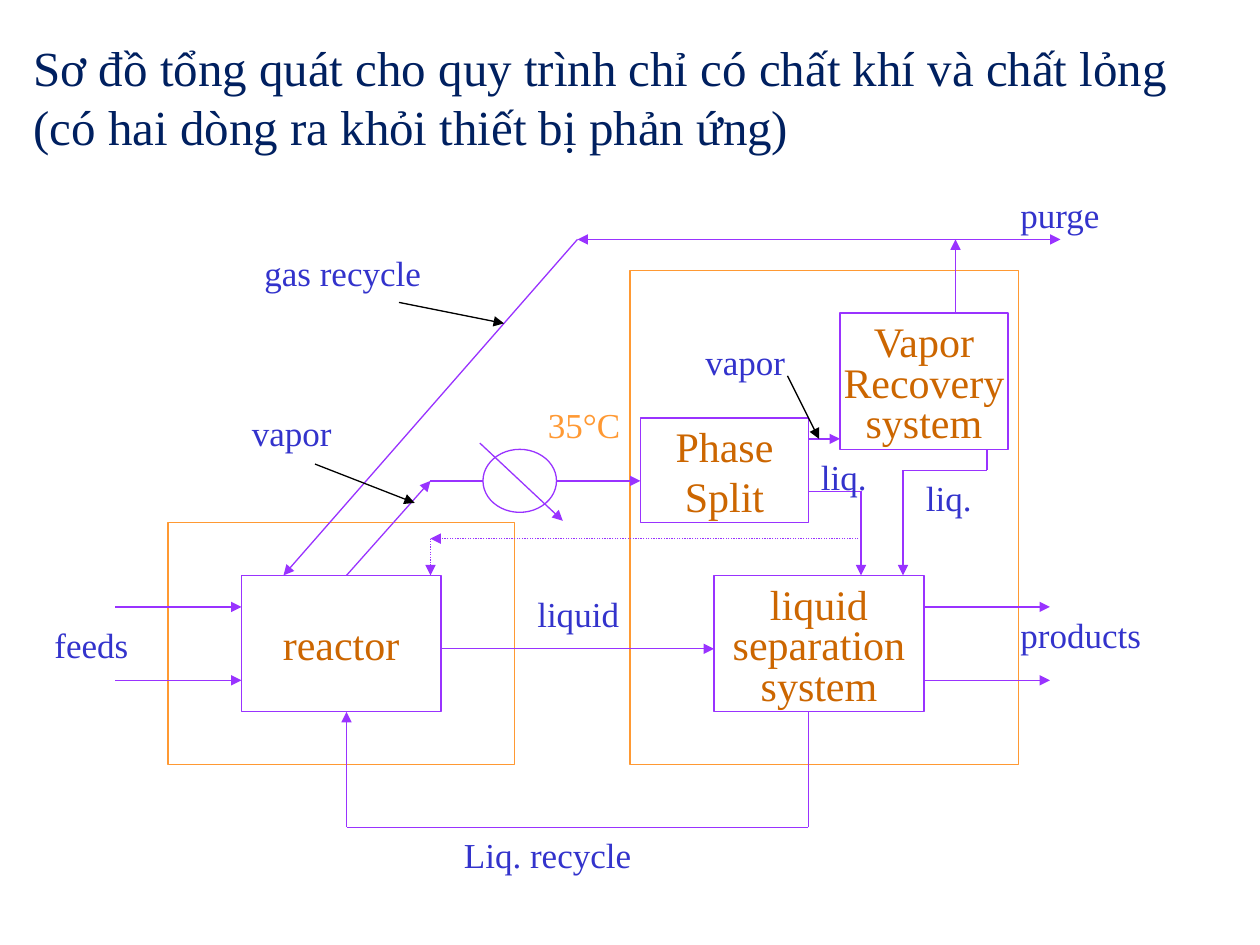
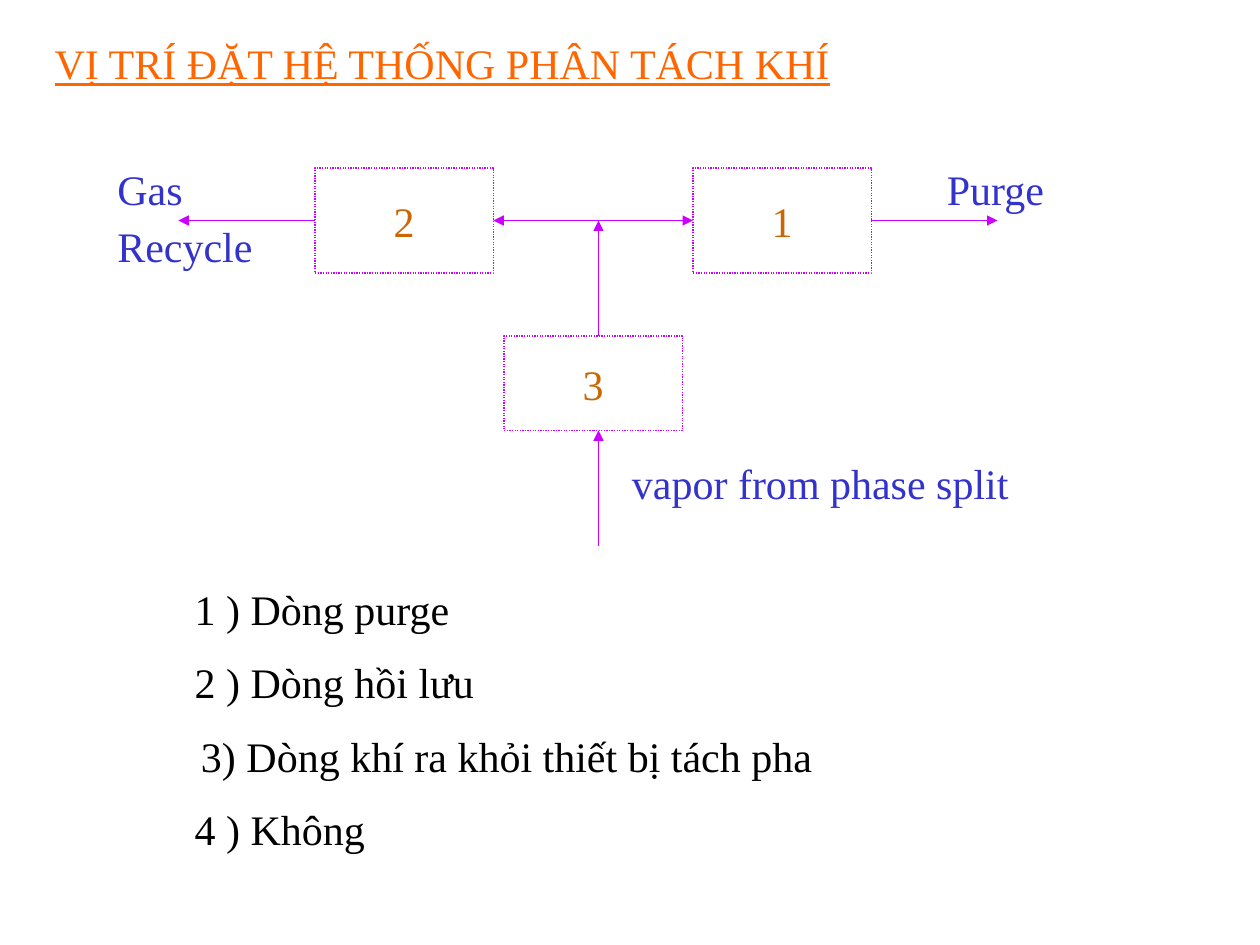
from lxml import etree
from pptx import Presentation
from pptx import util as u
from pptx.dml.color import RGBColor
from pptx.enum import dml, shapes, text
from pptx.oxml.ns import qn

# ---- Shared look ----
COLORS = {
    "paper": "FFFFFF", "navy": "002060", "headline": "FF6600",
    "block": "CC6600", "label": "3333CC", "frame": "FF9933",
    "flow": "9933FF", "gas": "CC00FF", "ink": "000000",
}
FONT = "Times New Roman"
CELL = 1 / 12      # grid cell in inches; every place below counts in cells
LINE_WIDTH = 0.75

# ---- Content: process diagram ----
PROCESS = {
    "title": "Sơ đồ tổng quát cho quy trình chỉ có chất khí và chất lỏng "
             "(có hai dòng ra khỏi thiết bị phản ứng)",
    "title_at": (2, 3, 117, 12.5),
    "title_look": {"size": 28, "color": "navy"},
    "down": 1.8,       # cells the diagram is moved down
    "line": "flow", "dotted": False, "label_size": 20,
    "frames": [(16, 48, 33, 23), (60, 24, 37, 47)],
    # lines of text, place, spacing of the lines after the first
    "blocks": [
        (["reactor"], (23, 53, 19, 13), 1),
        (["liquid", "separation", "system"], (68, 53, 20, 13), 0.8),
        (["Phase", "Split"], (61, 38, 16, 10), 1),
        (["Vapor", "Recovery", "system"], (80, 28, 16, 13), 0.8),
    ],
    "exchangers": [(46, 41, 7, 6)],
    # colour, dotted, corners; "*" after a corner puts an arrowhead there
    "flows": [
        ("flow", False, [(42, 60), (68, 60, "*")]),                  # liquid
        ("flow", False, [(11, 56), (23, 56, "*")]),                  # feeds
        ("flow", False, [(11, 63), (23, 63, "*")]),
        ("flow", False, [(88, 56), (100, 56, "*")]),                 # products
        ("flow", False, [(88, 63), (100, 63, "*")]),
        ("flow", False, [(77, 66), (77, 77), (33, 77), (33, 66, "*")]),
        ("flow", False, [(77, 40), (80, 40, "*")]),                  # vapor
        ("flow", False, [(77, 45), (82, 45), (82, 53, "*")]),        # liq.
        ("flow", False, [(94, 41), (94, 43), (86, 43), (86, 53, "*")]),
        ("flow", False, [(91, 28), (91, 21, "*"), (101, 21, "*")]),  # purge
        ("flow", False, [(91, 21), (55, 21, "*"), (27, 53, "*")]),   # gas recycle
        ("flow", False, [(33, 53), (41, 44, "*"), (46, 44)]),        # to exchanger
        ("flow", False, [(53, 44), (61, 44, "*")]),
        ("flow", False, [(45.7, 40.4), (53.6, 47.8, "*")]),
        ("flow", True, [(82, 49.5), (41, 49.5, "*"), (41, 53, "*")]),
        ("ink", False, [(38, 27), (48, 29, "*")]),                   # pointers
        ("ink", False, [(75, 34), (78, 40, "*")]),
        ("ink", False, [(30, 42.4), (39.5, 46.1, "*")]),
    ],
    # lines of text, left, top, width, colour, spacing of the first line
    "labels": [
        (["Liq. recycle"], 43, 77, 34, "label", 1),
        (["products"], 96, 56, 19, "label", 1),
        (["liquid"], 50, 54, 17, "label", 1),
        (["feeds"], 4, 57, 20, "label", 1),
        (["35°C"], 51, 36, 12, "frame", 1),
        (["gas recycle"], 24, 21.6, 24, "label", 1),
        (["liq."], 77, 41, 8, "label", 1),
        (["liq."], 87, 43, 8, "label", 1),
        (["vapor"], 66, 30, 11, "label", 1),
        (["purge"], 96, 16, 19, "label", 1),
        (["vapor"], 22.8, 38.2, 12.7, "label", 0.6),
    ],
    "answers": [],
}

# ---- Content: where the gas separation goes ----
LOCATION = {
    "title": "VỊ TRÍ ĐẶT HỆ THỐNG PHÂN TÁCH KHÍ",
    "title_at": (4, 3, 111, 6),
    "title_look": {"size": 24, "color": "headline", "underline": True},
    "down": 0,
    "line": "gas", "dotted": True, "label_size": 24,
    "frames": [],
    "blocks": [
        (["2"], (30, 16, 17, 10), 1),
        (["1"], (66, 16, 17, 10), 1),
        (["3"], (48, 32, 17, 9), 1),
    ],
    "exchangers": [],
    "flows": [
        ("gas", False, [(57, 52), (57, 41, "*")]),
        ("gas", False, [(57, 32), (57, 21, "*")]),
        ("gas", False, [(57, 21), (66, 21, "*")]),
        ("gas", False, [(57, 21), (47, 21, "*")]),
        ("gas", False, [(83, 21), (95, 21, "*")]),
        ("gas", False, [(30, 21), (17, 21, "*")]),
    ],
    "labels": [
        (["Gas", "Recycle"], 10, 15, 17, "label", 1),
        (["Purge"], 89, 15, 16, "label", 1),
        (["vapor from phase split"], 59, 43, 56, "label", 1),
    ],
    # text and indent in inches
    "answers": [
        ("1 ) Dòng purge", 0.28),
        ("2 ) Dòng hồi lưu", 0.28),
        ("3) Dòng khí ra khỏi thiết bị tách pha", 0.33),
        ("4 ) Không", 0.28),
    ],
}


# ---- Helpers ----
def rgb(name):
    return RGBColor.from_string(COLORS[name])


def cells(*counts):
    return [u.Inches(n * CELL) for n in counts]


def write(frame, lines, size, color, underline=None, align=text.PP_ALIGN.LEFT):
    frame.text = "\n".join(lines)
    for paragraph in frame.paragraphs:
        paragraph.alignment = align
        for run in paragraph.runs:
            run.font.name = FONT
            run.font.size = u.Pt(size)
            run.font.color.rgb = rgb(color)
            run.font.underline = underline
    return frame.paragraphs


def style_line(line, color, dotted):
    line.color.rgb = rgb(color)
    line.width = u.Pt(LINE_WIDTH)
    if dotted:
        line.dash_style = dml.MSO_LINE.ROUND_DOT


class Board:
    """A slide whose diagram is placed in grid cells."""

    def __init__(self, deck, plan):
        self.slide = deck.slides.add_slide(deck.slide_layouts[5])
        self.down = plan["down"]

    def title(self, words, place, look):
        title = self.slide.shapes.title
        title.left, title.top, title.width, title.height = cells(*place)
        title.text_frame.auto_size = text.MSO_AUTO_SIZE.NONE
        title.text_frame.vertical_anchor = text.MSO_ANCHOR.TOP
        write(title.text_frame, [words], **look)

    def outline(self, kind, place, color, dotted=False):
        x, y, w, h = place
        shape = self.slide.shapes.add_shape(kind, *cells(x, y + self.down, w, h))
        shape.shadow.inherit = False
        shape.fill.solid()
        shape.fill.fore_color.rgb = rgb("paper")
        style_line(shape.line, color, dotted)
        return shape

    def block(self, lines, place, spacing, color, dotted):
        frame = self.outline(shapes.MSO_SHAPE.RECTANGLE, place, color, dotted).text_frame
        frame.word_wrap = False
        frame.vertical_anchor = text.MSO_ANCHOR.MIDDLE
        for later in write(frame, lines, 24, "block", align=text.PP_ALIGN.CENTER)[1:]:
            later.line_spacing = spacing

    def flow(self, color, dotted, corners):
        for start, end in zip(corners, corners[1:]):
            (x1, y1), (x2, y2) = start[:2], end[:2]
            pipe = self.slide.shapes.add_connector(
                shapes.MSO_CONNECTOR.STRAIGHT,
                *cells(x1, y1 + self.down, x2, y2 + self.down))
            style_line(pipe.line, color, dotted)
            if len(end) > 2:
                etree.SubElement(pipe.line._get_or_add_ln(), qn("a:tailEnd"), type="triangle")
            etree.SubElement(pipe._element.spPr, qn("a:effectLst"))

    def note(self, lines, left, top, width, size, color):
        height = 5.2 if size == 20 else 6
        box = self.slide.shapes.add_textbox(
            *cells(left, top + self.down, width, height * len(lines)))
        box.text_frame.word_wrap = True
        return write(box.text_frame, lines, size, color)


def build(deck, plan):
    board = Board(deck, plan)
    board.title(plan["title"], plan["title_at"], plan["title_look"])

    # Equipment
    for place in plan["frames"]:
        board.outline(shapes.MSO_SHAPE.RECTANGLE, place, "frame")
    for lines, place, spacing in plan["blocks"]:
        board.block(lines, place, spacing, plan["line"], plan["dotted"])
    for place in plan["exchangers"]:
        board.outline(shapes.MSO_SHAPE.OVAL, place, plan["line"])

    # Streams and their names
    for flow in plan["flows"]:
        board.flow(*flow)
    for lines, left, top, width, color, spacing in plan["labels"]:
        first, *later = board.note(lines, left, top, width, plan["label_size"], color)
        first.line_spacing = spacing
        for paragraph in later:
            paragraph.line_spacing = 0.6
            paragraph.space_before = u.Pt(14)

    # Answers
    if plan["answers"]:
        words, indents = zip(*plan["answers"])
        answers = board.note(words, 14, 55, 100, 24, "ink")
        for paragraph, indent in zip(answers, indents):
            paragraph._p.get_or_add_pPr().set("marL", str(u.Inches(indent)))
        for paragraph in answers[1:]:
            paragraph.space_before = u.Pt(13)


def main():
    deck = Presentation()
    deck.slide_width, deck.slide_height = u.Inches(10), u.Inches(7.5)
    for plan in (PROCESS, LOCATION):
        build(deck, plan)
    deck.save("out.pptx")


if __name__ == "__main__":
    main()
